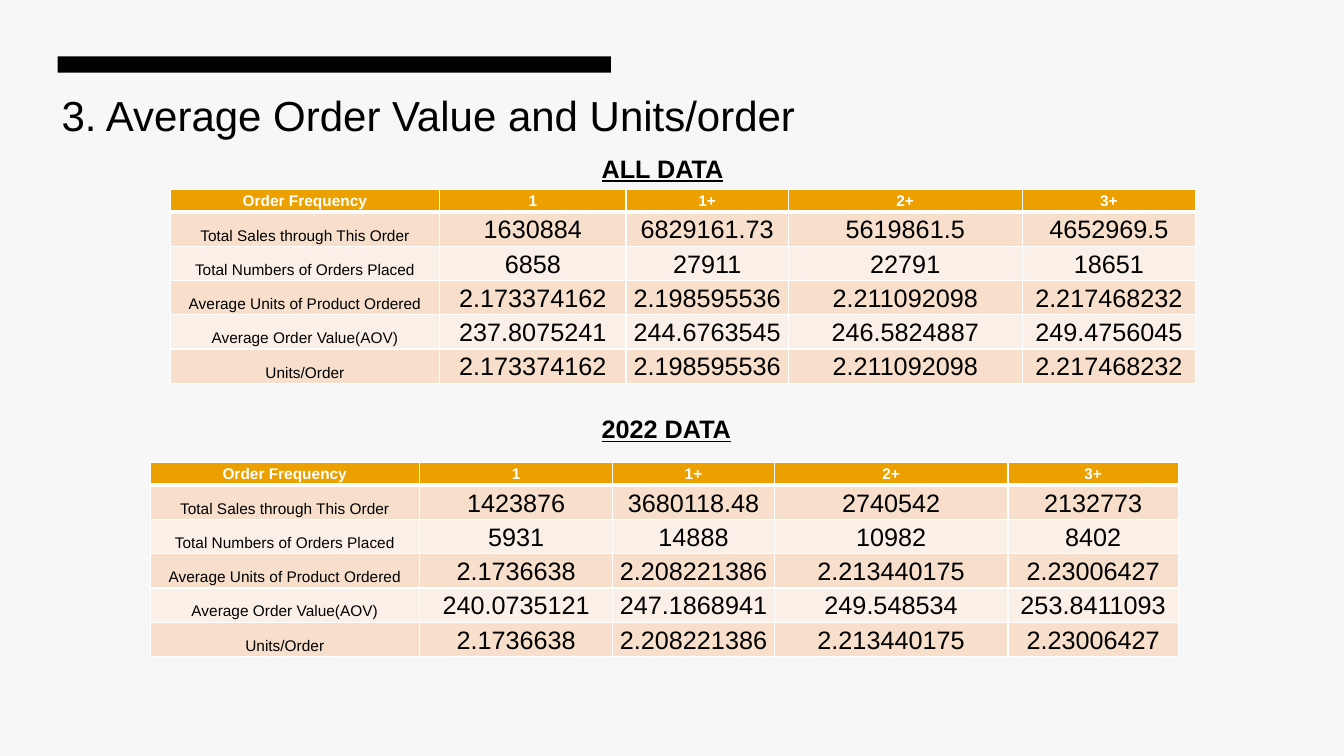
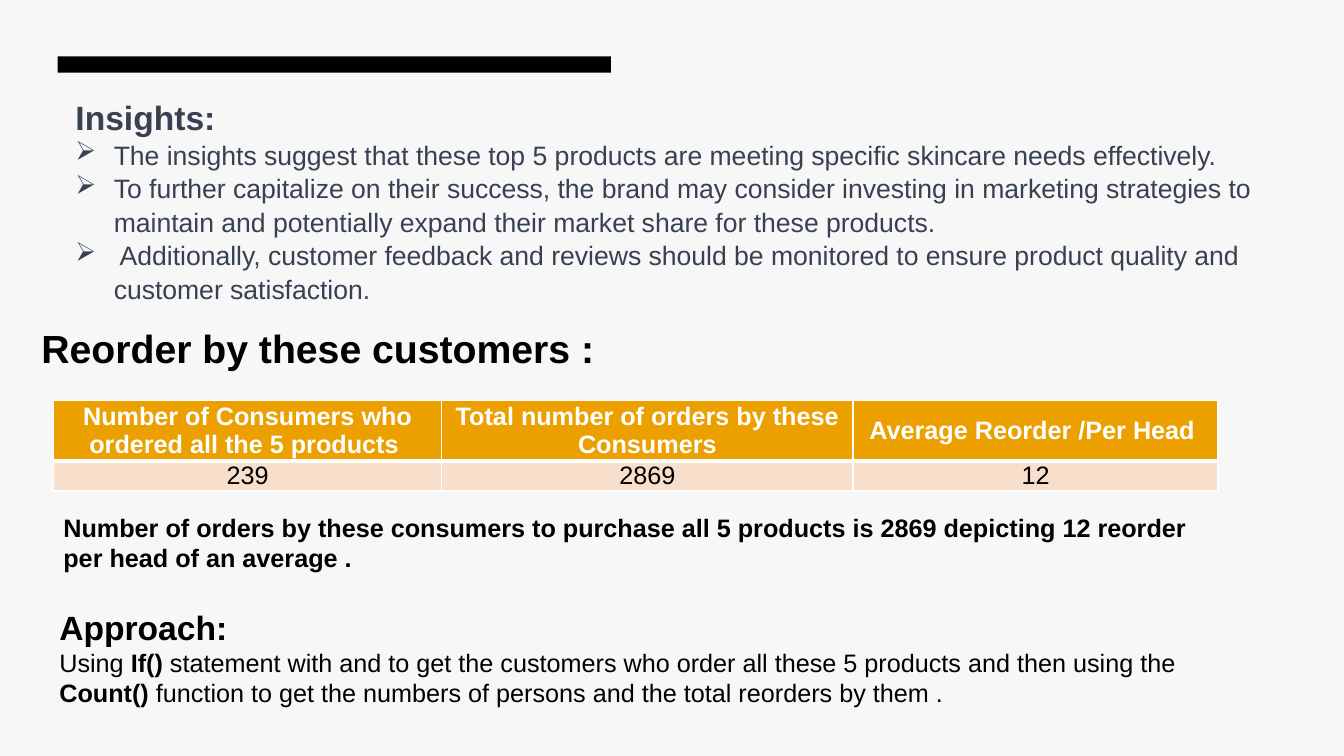
from dataclasses import dataclass

from lxml import etree
from pptx import Presentation
from pptx.dml.color import RGBColor
from pptx.enum.shapes import MSO_SHAPE
from pptx.enum.text import MSO_ANCHOR, MSO_AUTO_SIZE, PP_ALIGN
from pptx.oxml.ns import qn
from pptx.util import Inches, Pt

RECTANGLE = MSO_SHAPE.RECTANGLE
TOP, MIDDLE, BOTTOM = MSO_ANCHOR.TOP, MSO_ANCHOR.MIDDLE, MSO_ANCHOR.BOTTOM
LEFT, CENTER = PP_ALIGN.LEFT, PP_ALIGN.CENTER
NO_AUTOFIT = MSO_AUTO_SIZE.NONE

SLIDE_W, SLIDE_H = Inches(13.33), Inches(7.5)


@dataclass(frozen=True)
class Theme:
    font: str = "Arial"
    paper: str = "F7F7F7"
    ink: str = "000000"
    slate: str = "374151"
    white: str = "FFFFFF"
    header: str = "EBA000"
    bands: tuple = ("F7DFCC", "FBF0E7")
    title: int = 30
    section: int = 28
    heading: int = 24
    insight: int = 19
    body: int = 18
    small: int = 11
    rule: int = 1
    header_rule: int = 3


THEME = Theme()


@dataclass(frozen=True)
class TableStyle:
    label_size: int
    anchor: MSO_ANCHOR
    inset_x: float
    inset_y: float


COMPACT = TableStyle(THEME.small, BOTTOM, 0.03, 0.02)
LARGE = TableStyle(THEME.body, MIDDLE, 0, 0)


def area(left, top, width, height):
    """Turn percentages of the slide into a box."""
    return (int(SLIDE_W * left / 100), int(SLIDE_H * top / 100),
            int(SLIDE_W * width / 100), int(SLIDE_H * height / 100))


def split(total, weights):
    """Share a length out by weight."""
    return [int(total * weight / sum(weights)) for weight in weights]


def style_runs(paragraph, size, color, bold=False, underline=False):
    for run in paragraph.runs:
        font = run.font
        font.name, font.size = THEME.font, Pt(size)
        font.bold, font.underline = bold, underline
        font.color.rgb = RGBColor.from_string(color)


# Shared parts: background, bar and title
def add_bar(slide, layout):
    """Draw the black bar and hand it to the layout, behind its placeholders."""
    bar = slide.shapes.add_shape(RECTANGLE, *area(4.28, 7.47, 41.18, 2.13))
    bar.shadow.inherit = False
    bar.fill.solid()
    bar.fill.fore_color.rgb = RGBColor.from_string(THEME.ink)
    bar.line.fill.background()
    bar.element.nvSpPr.cNvPr.set("id", "20")
    layout.shapes.element.insert(2, bar.element)


def set_title(slide, box, text, size, bold=False):
    title = slide.shapes.title
    title.left, title.top, title.width, title.height = box
    frame = title.text_frame
    frame.text = text
    frame.vertical_anchor, frame.auto_size = TOP, NO_AUTOFIT
    frame.paragraphs[0].alignment = LEFT
    style_runs(frame.paragraphs[0], size, THEME.ink, bold)


# Text regions
def add_text(slide, box, text, size, color=THEME.ink, bold=False, underline=False):
    frame = slide.shapes.add_textbox(*box).text_frame
    frame.word_wrap = True
    frame.text = text
    style_runs(frame.paragraphs[0], size, color, bold, underline)
    return frame


def add_bullet(paragraph):
    properties = paragraph._p.get_or_add_pPr()
    indent = Inches(0.38)
    properties.set("marL", str(indent))
    properties.set("indent", str(-indent))
    etree.SubElement(properties, qn("a:buChar")).set("char", "➢")


def add_insights(slide, box, heading, insights):
    frame = add_text(slide, box, heading, THEME.heading, THEME.slate, bold=True)
    for insight in insights:
        paragraph = frame.add_paragraph()
        paragraph.text = insight
        paragraph.line_spacing = 1.05
        add_bullet(paragraph)
        style_runs(paragraph, THEME.insight, THEME.slate)


def add_approach(slide, box, heading, pieces):
    """Pieces alternate between plain and bold text."""
    frame = add_text(slide, box, heading, THEME.heading, bold=True)
    paragraph = frame.add_paragraph()
    for piece in pieces:
        paragraph.add_run().text = piece
    style_runs(paragraph, THEME.body, THEME.ink)
    for function in paragraph.runs[1::2]:
        function.font.bold = True


# Tables
def set_borders(cell, top, bottom):
    properties = cell._tc.get_or_add_tcPr()
    widths = {"lnL": THEME.rule, "lnR": THEME.rule, "lnT": top, "lnB": bottom}
    for position, (side, width) in enumerate(widths.items()):
        line = etree.Element(qn(f"a:{side}"), w=str(Pt(width)))
        fill = etree.SubElement(line, qn("a:solidFill"))
        etree.SubElement(fill, qn("a:srgbClr"), val=THEME.white)
        properties.insert(position, line)


def style_cell(cell, text, row, column, style):
    is_header = row == 0
    color = THEME.header if is_header else THEME.bands[(row - 1) % 2]
    cell.fill.solid()
    cell.fill.fore_color.rgb = RGBColor.from_string(color)
    set_borders(cell, THEME.header_rule if row == 1 else THEME.rule,
                THEME.header_rule if is_header else THEME.rule)
    cell.margin_left = cell.margin_right = Inches(style.inset_x)
    cell.margin_top = cell.margin_bottom = Inches(style.inset_y)
    cell.vertical_anchor = style.anchor
    cell.text = text
    paragraph = cell.text_frame.paragraphs[0]
    paragraph.alignment = CENTER
    size = style.label_size if is_header or column == 0 else THEME.body
    style_runs(paragraph, size, THEME.white if is_header else THEME.ink, is_header)


def add_data_table(slide, box, rows, column_weights, row_weights, style):
    table = slide.shapes.add_table(len(rows), len(rows[0]), *box).table
    table.first_row = table.horz_banding = False
    for column, width in zip(table.columns, split(box[2], column_weights)):
        column.width = width
    for row, height in zip(table.rows, split(box[3], row_weights)):
        row.height = height
    for r, texts in enumerate(rows):
        for c, text in enumerate(texts):
            style_cell(table.cell(r, c), text, r, c, style)


# Content
FREQUENCIES = ["Order Frequency", "1", "1+", "2+", "3+"]
MEASURES = ["Total Sales through This Order", "Total Numbers of Orders Placed",
            "Average Units of Product Ordered", "Average Order Value(AOV)", "Units/Order"]
ALL_UNITS = ["2.173374162", "2.198595536", "2.211092098", "2.217468232"]
ALL_DATA = [
    ["1630884", "6829161.73", "5619861.5", "4652969.5"],
    ["6858", "27911", "22791", "18651"],
    ALL_UNITS,
    ["237.8075241", "244.6763545", "246.5824887", "249.4756045"],
    ALL_UNITS,
]
UNITS_2022 = ["2.1736638", "2.208221386", "2.213440175", "2.23006427"]
DATA_2022 = [
    ["1423876", "3680118.48", "2740542", "2132773"],
    ["5931", "14888", "10982", "8402"],
    UNITS_2022,
    ["240.0735121", "247.1868941", "249.548534", "253.8411093"],
    UNITS_2022,
]
INSIGHTS = [
    "The insights suggest that these top 5 products are meeting specific skincare needs "
    "effectively.",
    "To further capitalize on their success, the brand may consider investing in marketing "
    "strategies to maintain and potentially expand their market share for these products.",
    " Additionally, customer feedback and reviews should be monitored to ensure product "
    "quality and customer satisfaction.",
]
REORDERS = [
    ["Number of Consumers who ordered all the 5 products ",
     "Total number of orders by these Consumers", "Average Reorder /Per Head "],
    ["239", "2869", "12"],
]
APPROACH = [
    "Using ", "If()",
    " statement with and to get the customers who order all these 5 products and then using the ",
    "Count()",
    " function to get the numbers of persons and the total reorders by them .",
]


# Slides
def build_order_values(slide):
    set_title(slide, area(3.83, 11.2, 63.45, 12.13),
              "3. Average Order Value and Units/order", THEME.title)
    sections = [
        ("ALL DATA", 19.6, area(12.68, 25.07, 76.28, 25.6), ALL_DATA,
         (2.67, 1.85, 1.61, 2.32, 1.72)),
        ("2022 DATA", 54, area(11.18, 61.2, 76.5, 25.6), DATA_2022,
         (2.67, 1.92, 1.6, 2.32, 1.69)),
    ]
    for label, label_top, box, values, column_weights in sections:
        add_text(slide, area(44.03, label_top, 22.5, 5.33), label, THEME.body,
                 bold=True, underline=True)
        rows = [FREQUENCIES] + [[name, *line] for name, line in zip(MEASURES, values)]
        row_weights = [0.22] + [0.34] * len(MEASURES)
        add_data_table(slide, box, rows, column_weights, row_weights, COMPACT)


def build_reorders(slide):
    add_insights(slide, area(4.88, 12.13, 91.15, 28), "Insights:", INSIGHTS)
    set_title(slide, area(2.33, 42.27, 47.34, 7.6), "Reorder by these customers :",
              THEME.section, bold=True)
    add_data_table(slide, area(3.98, 52.93, 86.65, 11.73), REORDERS,
                   (3.85, 4.08, 3.62), (0.58, 0.3), LARGE)
    add_text(slide, area(3.98, 67.07, 87.92, 9.47),
             "Number of orders by these consumers to purchase all 5 products is 2869 "
             "depicting 12 reorder per head of an average .", THEME.body, bold=True)
    add_approach(slide, area(3.68, 79.6, 91.37, 14.8), "Approach:", APPROACH)


def main():
    deck = Presentation()
    deck.slide_width, deck.slide_height = SLIDE_W, SLIDE_H
    background = deck.slide_master.background.fill
    background.solid()
    background.fore_color.rgb = RGBColor.from_string(THEME.paper)
    title_only = deck.slide_layouts[5]
    order_values, reorders = (deck.slides.add_slide(title_only) for _ in range(2))
    add_bar(order_values, title_only)
    build_order_values(order_values)
    build_reorders(reorders)
    deck.save("out.pptx")


if __name__ == "__main__":
    main()
